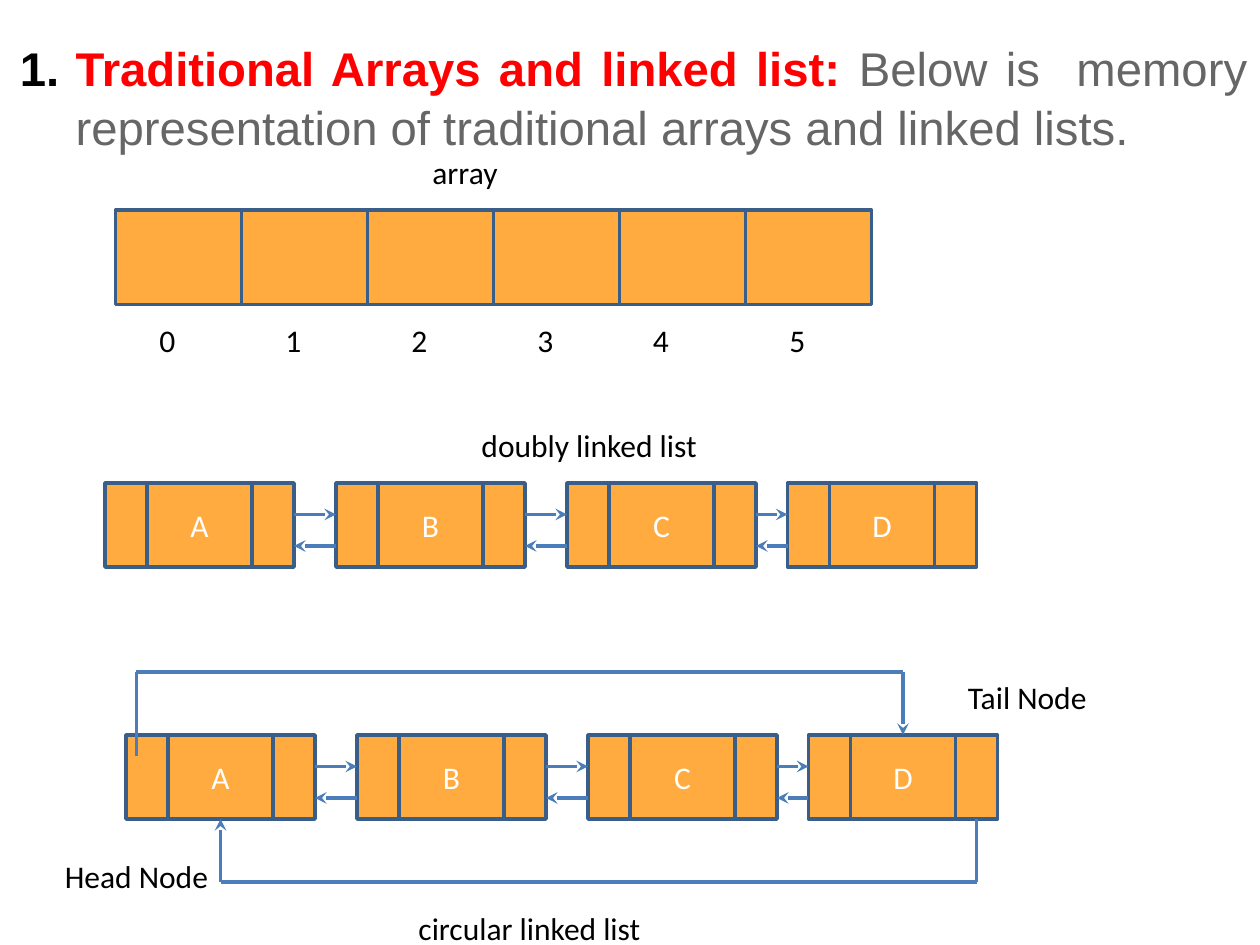
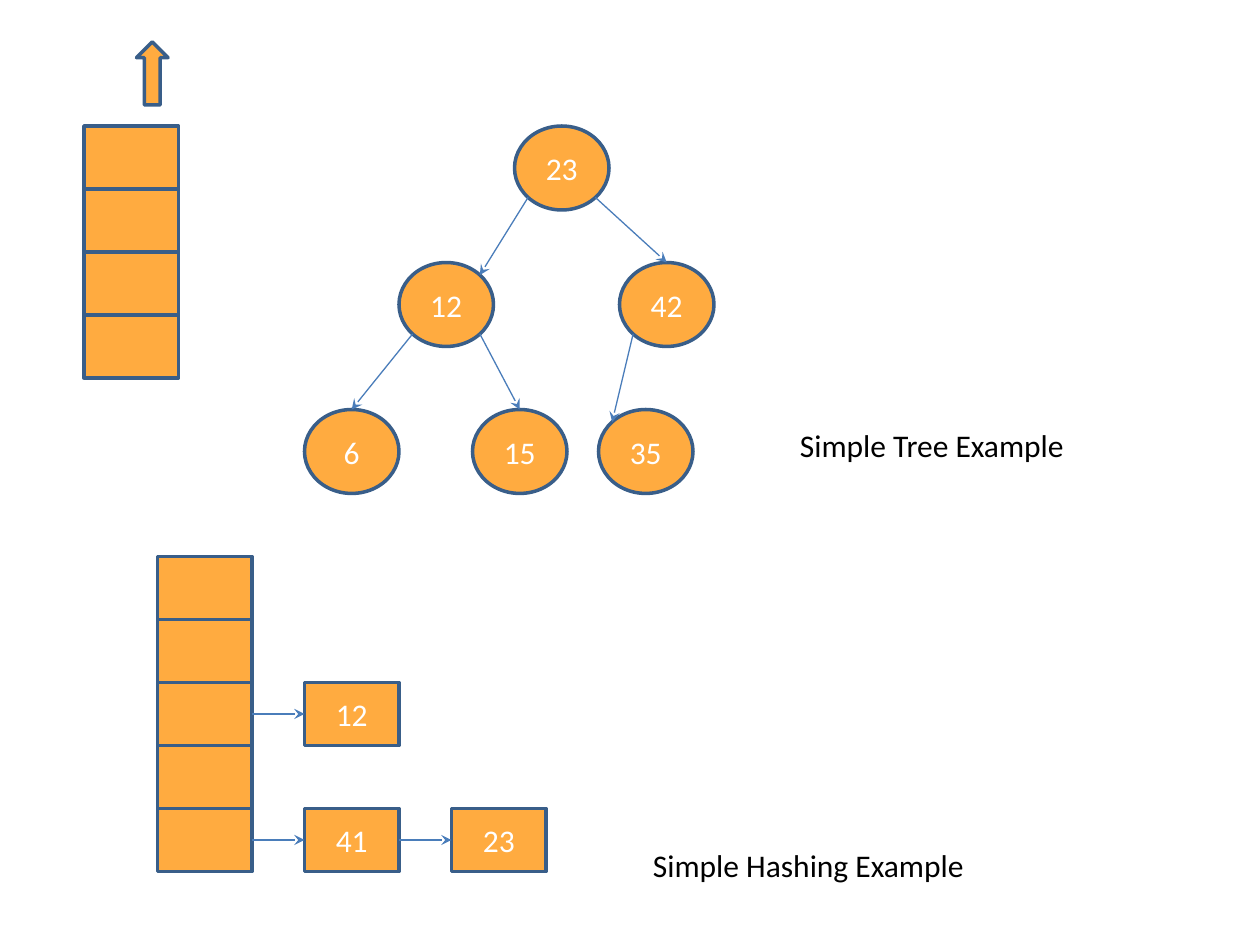
import dataclasses
import typing

import pptx
import pptx.dml.color
import pptx.enum.shapes
import pptx.enum.text
import pptx.oxml.ns
import pptx.util
import lxml.etree

Kind = pptx.enum.shapes.MSO_SHAPE
Align = pptx.enum.text.PP_ALIGN
Anchor = pptx.enum.text.MSO_ANCHOR
SCALE = 7620


@dataclasses.dataclass(frozen=True)
class Theme:
    fill: str = "FFAB40"
    edge: str = "395E89"
    link: str = "4A7DBA"
    dark: str = "000000"
    light: str = "FFFFFF"
    accent: str = "FF0000"
    muted: str = "666666"
    head: str = "Arial"
    body: str = "Calibri"
    large: int = 27
    small: int = 18
    border: float = 2
    thick: float = 2.25
    thin: float = 0.75


def px(*sizes):
    return [pptx.util.Emu(size * SCALE) for size in sizes]


def tint(color):
    return pptx.dml.color.RGBColor.from_string(color)


def node(parent, tag, **attrs):
    return lxml.etree.SubElement(parent, pptx.oxml.ns.qn(tag), **attrs)


def write(para, text, font, size, color, bold=False, align=None):
    run = para.add_run()
    run.text = text
    run.font.name = font
    run.font.size = pptx.util.Pt(size)
    run.font.bold = bold
    run.font.color.rgb = tint(color)
    if align is not None:
        para.alignment = align


@dataclasses.dataclass
class Deck:
    theme: Theme
    show: typing.Any
    slide: typing.Any = None

    def start(self, layout):
        self.slide = self.show.slides.add_slide(self.show.slide_layouts[layout])

    def item(self, left, top, width, height, lead, rest):
        look = self.theme
        title, body = self.slide.placeholders
        title.element.getparent().remove(title.element)
        body.left, body.top, body.width, body.height = px(left, top, width, height)
        frame = body.text_frame
        frame.auto_size = pptx.enum.text.MSO_AUTO_SIZE.NONE
        frame.vertical_anchor = Anchor.TOP
        para = frame.paragraphs[0]
        para.line_spacing = 1.03
        para.space_before = pptx.util.Pt(2)
        write(para, lead, look.head, look.large, look.accent, bold=True,
              align=Align.JUSTIFY)
        write(para, rest, look.head, look.large, look.muted)
        props = para._p.get_or_add_pPr()
        props.set("marL", str(60 * SCALE))
        props.set("indent", str(-53 * SCALE))
        node(node(props, "a:buClr"), "a:srgbClr", val=look.dark)
        node(props, "a:buFont", typeface=look.head)
        node(props, "a:buAutoNum", type="arabicPeriod")

    def label(self, left, top, width, text):
        look = self.theme
        box = self.slide.shapes.add_textbox(*px(left, top, width, 48))
        box.text_frame.word_wrap = True
        write(box.text_frame.paragraphs[0], text, look.body, look.small, look.dark)

    def block(self, left, top, width, height, text="", kind=Kind.RECTANGLE):
        look = self.theme
        shape = self.slide.shapes.add_shape(kind, *px(left, top, width, height))
        shape.shadow.inherit = False
        shape.fill.solid()
        shape.fill.fore_color.rgb = tint(look.fill)
        shape.line.color.rgb = tint(look.edge)
        shape.line.width = pptx.util.Pt(look.border)
        if text:
            frame = shape.text_frame
            frame.vertical_anchor = Anchor.MIDDLE
            write(frame.paragraphs[0], text, look.body, look.small, look.light,
                  align=Align.CENTER)

    def link(self, start, end, width, arrow=True):
        line = self.slide.shapes.add_connector(
            pptx.enum.shapes.MSO_CONNECTOR.STRAIGHT, *px(*start, *end))
        line.line.color.rgb = tint(self.theme.link)
        line.line.width = pptx.util.Pt(width)
        if arrow:
            node(line.get_or_add_ln(), "a:tailEnd", type="stealth")
        node(line.element.spPr, "a:effectLst")

    def route(self, *points):
        last = len(points) - 2
        for step, (start, end) in enumerate(zip(points, points[1:])):
            self.link(start, end, self.theme.thick, arrow=step == last)

    def chain(self, left, top):
        spots = [left + shift for shift in (0, 220, 440, 650)]
        for spot, name in zip(spots, "ABCD"):
            self.block(spot, top, 40, 80)
            self.block(spot + 40, top, 100, 80, name)
            self.block(spot + 140, top, 40, 80)
        for spot, after in zip(spots, spots[1:]):
            edge = spot + 180
            self.route((edge, top + 30), (after, top + 30))
            self.route((after, top + 60), (edge, top + 60))

    def stack(self, left, top, count):
        for row in range(count):
            self.block(left, top + 60 * row, 90, 60)


def draw_lists(deck):
    deck.start(1)
    deck.item(0, 30, 1200, 119, "Traditional Arrays and linked list:",
              " Below is  memory representation of traditional arrays and linked lists.")
    deck.label(400, 140, 180, "array")
    for index, left in enumerate((140, 260, 380, 500, 610, 740)):
        deck.block(110 + 120 * index, 200, 120, 90)
        deck.label(left, 300, 60, str(index))

    deck.label(440, 400, 340, " doubly linked list")
    deck.chain(100, 460)

    deck.chain(120, 700)
    deck.route((130, 720), (130, 640), (860, 640), (860, 700))
    deck.route((930, 780), (930, 840), (210, 840), (210, 780))
    deck.label(50, 810, 170, "Head Node")
    deck.label(910, 640, 180, "Tail Node")
    deck.label(380, 860, 340, " circular linked list")


def draw_trees(deck):
    thin = deck.theme.thin
    deck.start(6)
    deck.block(130, 40, 30, 60, kind=Kind.UP_ARROW)
    deck.stack(80, 120, 4)

    tree = {"23": (490, 120), "12": (380, 250), "42": (590, 250),
            "6": (290, 390), "15": (450, 390), "35": (570, 390)}
    ports = {"top": (45, 0), "nw": (13, 12), "ne": (77, 12),
             "sw": (13, 68), "se": (77, 68)}

    def port(name, side):
        return [base + shift for base, shift in zip(tree[name], ports[side])]

    for name, (left, top) in tree.items():
        deck.block(left, top, 90, 80, name, Kind.OVAL)
    for root, side, leaf, end in (
            ("23", "sw", "12", "ne"), ("23", "se", "42", "top"),
            ("12", "sw", "6", "top"), ("12", "se", "15", "top"),
            ("42", "sw", "35", "nw")):
        deck.link(port(root, side), port(leaf, end), thin)
    deck.label(750, 400, 450, "Simple Tree Example")

    deck.stack(150, 530, 5)
    for left, top, text in ((290, 650, "12"), (290, 770, "41"), (430, 770, "23")):
        deck.block(left, top, 90, 60, text)
        deck.link((left - 50, top + 30), (left, top + 30), thin)
    deck.label(610, 800, 450, "Simple Hashing Example")


def main():
    show = pptx.Presentation()
    show.slide_width, show.slide_height = px(1200, 900)
    deck = Deck(Theme(), show)
    draw_lists(deck)
    draw_trees(deck)
    show.save("out.pptx")


if __name__ == "__main__":
    main()
